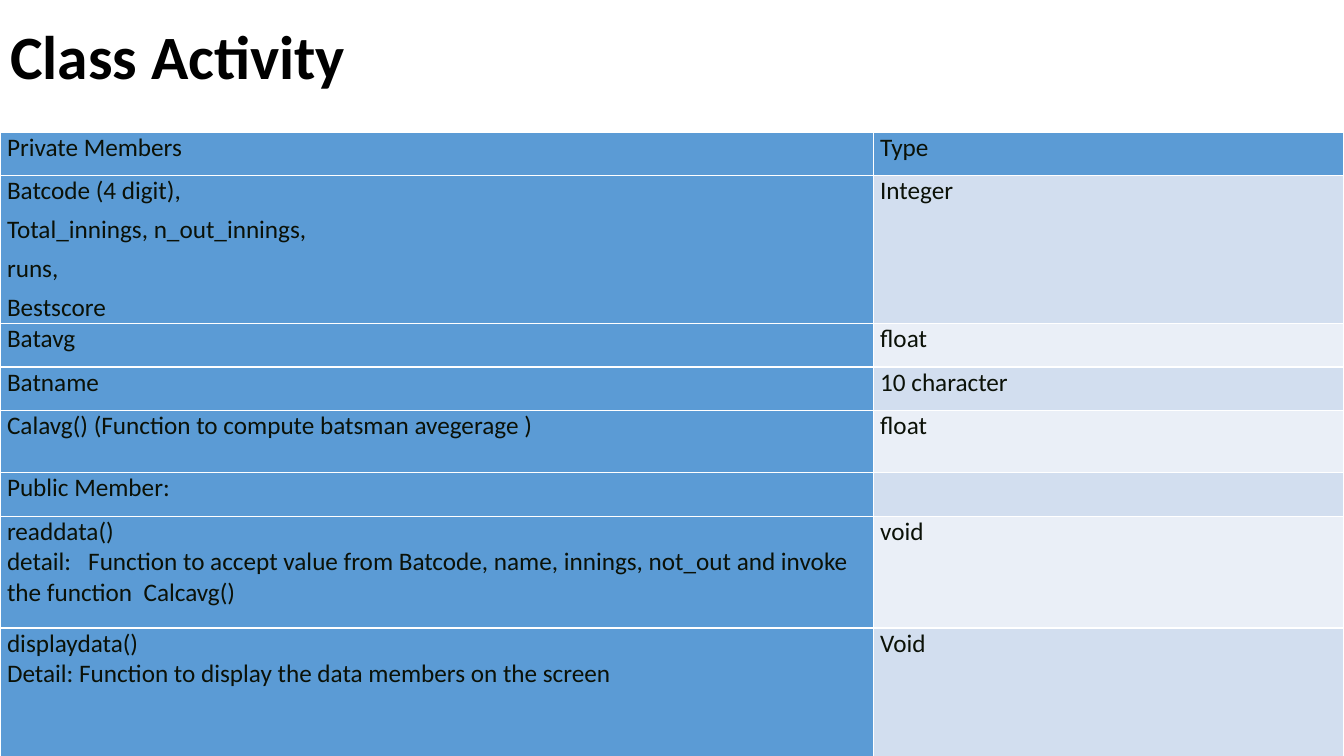
from dataclasses import dataclass

from lxml.etree import SubElement
from pptx import Presentation
from pptx.dml.color import RGBColor
from pptx.enum.text import MSO_ANCHOR, MSO_AUTO_SIZE, PP_ALIGN
from pptx.oxml.ns import qn
from pptx.slide import Slide
from pptx.table import Table, _Cell
from pptx.text.text import _Paragraph
from pptx.util import Inches, Pt


@dataclass(frozen=True)
class Theme:
    face: str = "Calibri"
    head: int = 44
    body: int = 18
    black: str = "000000"
    ink: str = "0B1107"
    blue: str = "5B9BD5"
    bands: tuple[str, str] = ("EAEFF7", "D2DEEF")
    rule: str = "FFFFFF"


@dataclass(frozen=True)
class Member:
    lines: tuple[str, ...]
    kind: str
    height: float
    gap: int = 0


THEME = Theme()
WIDTHS = (8.66, 4.67)
MEMBERS = (
    Member(("Private Members",), "Type", 0.43, 6),
    Member(
        ("Batcode (4 digit),", "Total_innings, n_out_innings,", "runs,", "Bestscore"),
        "Integer", 1.46, 6,
    ),
    Member(("Batavg",), "float", 0.43, 6),
    Member(("Batname",), "10 character", 0.43),
    Member(("Calavg() (Function to compute batsman avegerage )",), "float", 0.62),
    Member(("Public Member:",), "", 0.43),
    Member(
        (
            "readdata()",
            "detail:   Function to accept value from Batcode, name, innings, "
            "not_out and invoke the function  Calcavg()",
        ),
        "void", 1.11,
    ),
    Member(
        ("displaydata()", "Detail: Function to display the data members on the screen"),
        "Void", 1.3,
    ),
)


def style(para: _Paragraph, size: int, color: str, bold: bool = False) -> None:
    para.alignment = PP_ALIGN.LEFT
    para.font.name = THEME.face
    para.font.size = Pt(size)
    para.font.bold = bold
    para.font.color.rgb = RGBColor.from_string(color)


def border(cell: _Cell) -> None:
    props = cell._tc.get_or_add_tcPr()
    for side in ("lnL", "lnR", "lnT", "lnB"):
        line = SubElement(props, qn(f"a:{side}"), w=str(Pt(1)))
        fill = SubElement(line, qn("a:solidFill"))
        SubElement(fill, qn("a:srgbClr"), val=THEME.rule)


def write(cell: _Cell, lines: tuple[str, ...], color: str, gap: int) -> None:
    cell.margin_left = cell.margin_right = Inches(0.07)
    cell.margin_top = cell.margin_bottom = 0
    cell.text = "\n".join(lines)
    for para in cell.text_frame.paragraphs:
        style(para, THEME.body, THEME.ink)
        para.space_before = Pt(gap)
    border(cell)
    cell.fill.solid()
    cell.fill.fore_color.rgb = RGBColor.from_string(color)


def add_title(slide: Slide, text: str) -> None:
    title = slide.shapes.title
    title.left, title.top = Inches(0), Inches(-0.13)
    title.width, title.height = Inches(9.52), Inches(1.44)
    frame = title.text_frame
    frame.text = text
    frame.auto_size = MSO_AUTO_SIZE.NONE
    frame.vertical_anchor = MSO_ANCHOR.MIDDLE
    para = frame.paragraphs[0]
    para.line_spacing = 0.9
    style(para, THEME.head, THEME.black, True)


def add_grid(slide: Slide) -> None:
    high = sum(member.height for member in MEMBERS)
    grid: Table = slide.shapes.add_table(
        len(MEMBERS), len(WIDTHS), Inches(0), Inches(1.31),
        Inches(sum(WIDTHS)), Inches(high),
    ).table
    for column, width in zip(grid.columns, WIDTHS):
        column.width = Inches(width)
    for index, member in enumerate(MEMBERS):
        grid.rows[index].height = Inches(member.height)
        band = THEME.bands[index % 2] if index else THEME.blue
        write(grid.cell(index, 0), member.lines, THEME.blue, member.gap)
        write(grid.cell(index, 1), (member.kind,), band, member.gap)


def main() -> None:
    deck = Presentation()
    deck.slide_width, deck.slide_height = Inches(13.33), Inches(7.5)
    slide = deck.slides.add_slide(deck.slide_layouts[5])
    add_title(slide, "Class Activity")
    add_grid(slide)
    deck.save("out.pptx")


if __name__ == "__main__":
    main()
